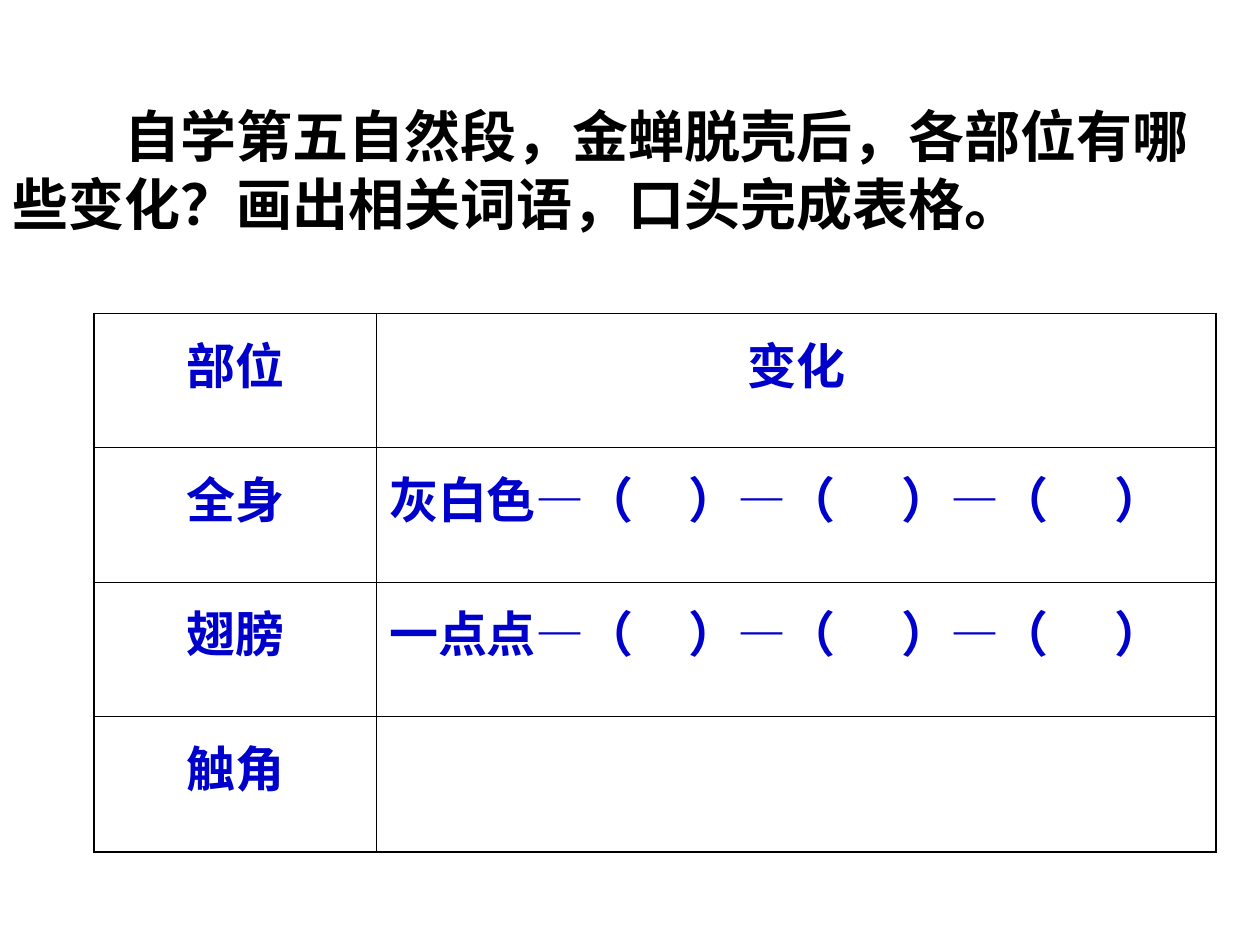
from lxml import etree
from pptx import Presentation
from pptx.dml.color import RGBColor
from pptx.enum import text
from pptx.oxml.ns import qn
from pptx.util import Cm, Pt

FONT = "Times New Roman"
BLACK, BLUE = "000000", "0000CC"
THIN, THICK = 0.45, 1.08
HEADING = "自学第五自然段，金蝉脱壳后，各部位有哪些变化？画出相关词语，口头完成表格。"
BLANKS = "—（\t）" * 3
ROWS = [
    ("部位", "变化"),
    ("全身", "灰白色" + BLANKS),
    ("翅膀", "一点点" + BLANKS),
    ("触角", ""),
]
COL_WIDTHS = [5.69, 16.92]
ROW_HEIGHTS = [2.69, 2.72, 2.72, 2.72]
FIRST_TAB, TAB_STEP = 6.03, 4.3


def rgb(value):
    return RGBColor.from_string(value)


def style_runs(p, size, color):
    for r in p.runs:
        r.font.name = FONT
        r.font.size = Pt(size)
        r.font.bold = True
        r.font.color.rgb = rgb(color)


def add_heading(slide):
    sp = slide.shapes.add_textbox(Cm(0), Cm(1.93), Cm(24.89), Cm(2.97))
    tf = sp.text_frame
    tf.word_wrap = True
    p = tf.paragraphs[0]
    p.text = HEADING
    p._p.get_or_add_pPr().set("indent", str(Cm(2.26)))
    style_runs(p, 32, BLACK)


def add_tab_stops(p, count):
    """Place the closing brackets at equal steps."""
    tabs = etree.SubElement(p._p.get_or_add_pPr(), qn("a:tabLst"))
    for i in range(count):
        pos = Cm(FIRST_TAB + i * TAB_STEP)
        etree.SubElement(tabs, qn("a:tab"), pos=str(pos), algn="l")


def set_border(cell, side, width):
    ln = etree.SubElement(cell._tc.get_or_add_tcPr(), qn(f"a:ln{side}"), w=str(Pt(width)))
    fill = etree.SubElement(ln, qn("a:solidFill"))
    etree.SubElement(fill, qn("a:srgbClr"), val=BLACK)


def fill_cell(cell, content, centred):
    cell.margin_top = Cm(0.29)
    p = cell.text_frame.paragraphs[0]
    p.text = content
    if centred:
        p.alignment = text.PP_ALIGN.CENTER
    if "\t" in content:
        add_tab_stops(p, content.count("\t"))
    style_runs(p, 28, BLUE)


def add_change_table(slide):
    n_rows, n_cols = len(ROWS), len(COL_WIDTHS)
    frame = slide.shapes.add_table(
        n_rows, n_cols, Cm(1.9), Cm(6.32), Cm(sum(COL_WIDTHS)), Cm(sum(ROW_HEIGHTS)))
    table = frame.table
    table.first_row = table.horz_banding = False
    for col, width in zip(table.columns, COL_WIDTHS):
        col.width = Cm(width)
    for row, height in zip(table.rows, ROW_HEIGHTS):
        row.height = Cm(height)
    for i, contents in enumerate(ROWS):
        for j, content in enumerate(contents):
            cell = table.cell(i, j)
            fill_cell(cell, content, centred=i == 0 or j == 0)
            outer = {"L": j == 0, "R": j == n_cols - 1, "T": i == 0, "B": i == n_rows - 1}
            for side, is_outer in outer.items():
                set_border(cell, side, THICK if is_outer else THIN)
            cell.fill.background()


def main():
    prs = Presentation()
    prs.slide_width, prs.slide_height = Cm(25.4), Cm(19.05)
    slide = prs.slides.add_slide(prs.slide_layouts[6])
    add_heading(slide)
    add_change_table(slide)
    prs.save("out.pptx")


if __name__ == "__main__":
    main()
